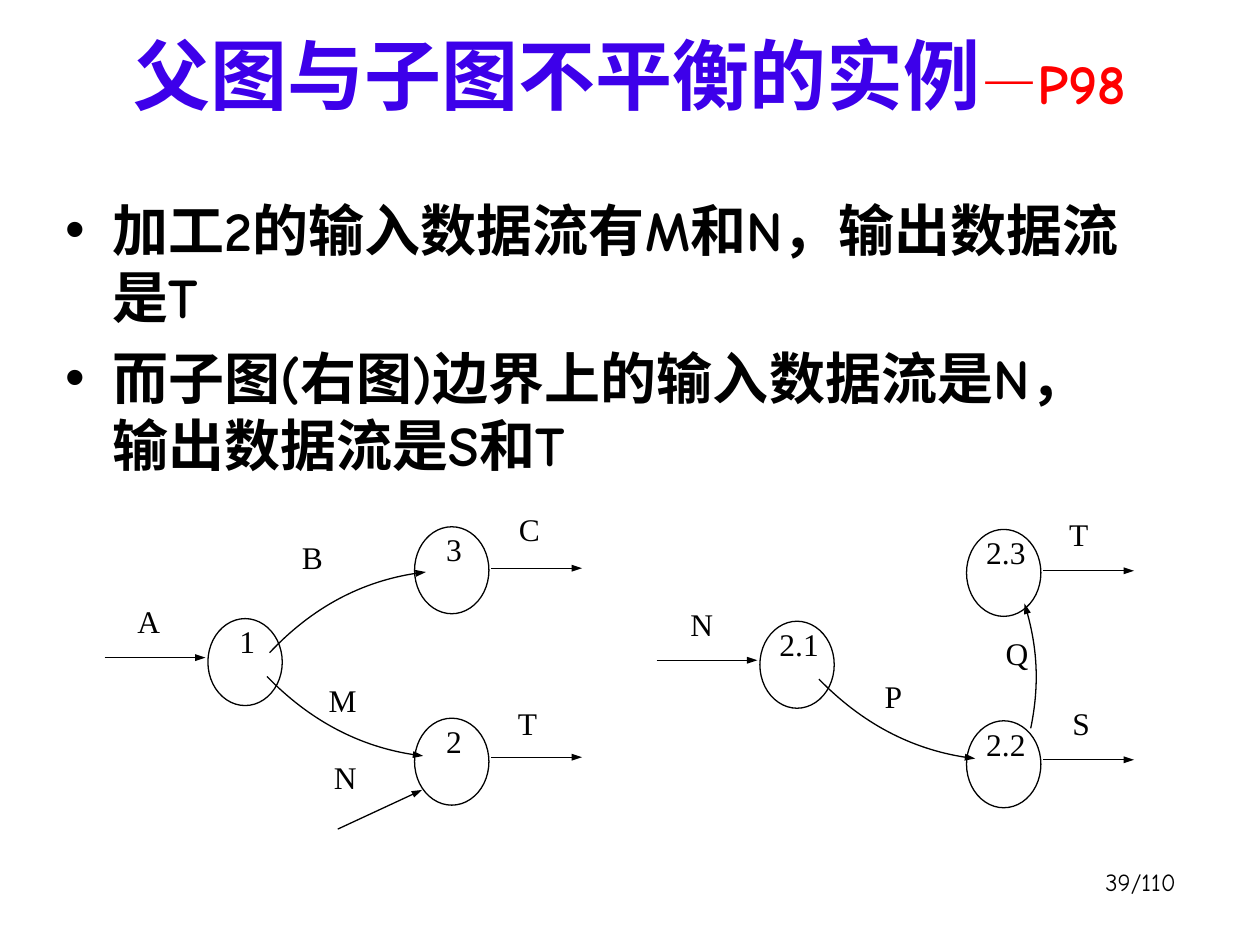
"""Build a slide on unbalanced parent and child data flow diagrams."""
import pptx
import pptx.dml.color
import pptx.enum.shapes
import pptx.enum.text
import pptx.oxml
import pptx.oxml.ns
import pptx.util

Pt = pptx.util.Pt
Align = pptx.enum.text.PP_ALIGN
Anchor = pptx.enum.text.MSO_ANCHOR
qn = pptx.oxml.ns.qn

BLACK = pptx.dml.color.RGBColor(0x00, 0x00, 0x00)
VIOLET = pptx.dml.color.RGBColor(0x3D, 0x00, 0xEA)
RED = pptx.dml.color.RGBColor(0xFF, 0x00, 0x00)

NODE_CORNERS = [(118.8, 353.5), (236.9, 410.4), (236.9, 301)]
FLOW_ARROWS = [
    (59.8, 375.8, 117.4, 375.8),
    (280.8, 432.7, 332.6, 432.7),
    (280.8, 324.7, 332.6, 324.7),
]
LOWER_CURVE = [(152.6, 386.6), (177.1, 411.8), (208.8, 428.4), (241.9, 432)]
UPPER_CURVE = [(154.1, 373), (178.6, 347), (210.2, 330.5), (243.4, 326.9)]
RISING_CURVE = [(273.6, 414.7), (278.6, 390.3), (277.2, 365.8), (270, 343.4)]

PARENT = {
    "offset": (0, 0),
    "nodes": ["1", "2", "3"],
    "arrows": FLOW_ARROWS + [(193, 473.8, 241.2, 451.4)],
    "curves": [LOWER_CURVE, UPPER_CURVE],
    "labels": [("A", 66.2, 340.6), ("B", 159.8, 303.8), ("C", 283.7, 288),
               ("M", 177.1, 385.9), ("N", 178.6, 429.8), ("T", 282.6, 398.9)],
}
CHILD = {
    "offset": (315.4, 1.5),
    "nodes": ["2.1", "2.2", "2.3"],
    "arrows": FLOW_ARROWS,
    "curves": [LOWER_CURVE, RISING_CURVE],
    "labels": [("N", 66.9, 340.6), ("P", 176.4, 381.6), ("S", 283.7, 397.4),
               ("T", 282.2, 289.4), ("Q", 247, 357.1)],
}


class SlideBuilder:
    """Hold the style and the current slide."""

    heading_font = "Comic Neue"
    diagram_font = "Times New Roman"
    line_width = 0.75

    def __init__(self, slide):
        self.slide = slide

    def style_font(self, font, name, size, color, bold=False):
        font.name = name
        font.size = Pt(size)
        font.bold = bold
        font.color.rgb = color

    def text_box(self, left, top, width, height, anchor=Anchor.TOP):
        shape = self.slide.shapes.add_textbox(Pt(left), Pt(top), Pt(width), Pt(height))
        shape.text_frame.word_wrap = True
        shape.text_frame.vertical_anchor = anchor
        return shape.text_frame

    def title(self, text, reference):
        paragraph = self.text_box(36, 12.2, 648, 59.8, Anchor.BOTTOM).paragraphs[0]
        paragraph.alignment = Align.CENTER
        for words, size, color in ((text, 44, VIOLET), (reference, 32, RED)):
            run = paragraph.add_run()
            run.text = words
            self.style_font(run.font, self.heading_font, size, color, True)

    def bullets(self, items):
        text_frame = self.text_box(30.2, 108, 624.2, 180)
        text_frame.text = "\n".join(items)
        for index, paragraph in enumerate(text_frame.paragraphs):
            properties = paragraph._p.get_or_add_pPr()
            properties.set("marL", str(Pt(27)))
            properties.set("indent", str(-Pt(27)))
            if index:
                paragraph.space_before = Pt(8)
            bullet_font = pptx.oxml.ns.qn("a:buFont")
            properties.append(properties.makeelement(bullet_font, {"typeface": "Arial"}))
            properties.append(properties.makeelement(qn("a:buChar"), {"char": "•"}))
            self.style_font(paragraph.runs[0].font, self.heading_font, 32, BLACK, True)

    def page_number(self, text):
        text_frame = self.text_box(529.2, 491.8, 149.8, 36)
        text_frame.text = text
        text_frame.paragraphs[0].alignment = Align.RIGHT
        self.style_font(text_frame.paragraphs[0].runs[0].font, self.heading_font, 14, BLACK)

    def label(self, text, left, top, width=37.5, height=41):
        text_frame = self.text_box(left, top, width, height)
        text_frame.text = text
        text_frame.paragraphs[0].alignment = Align.CENTER
        self.style_font(text_frame.paragraphs[0].runs[0].font, self.diagram_font, 18, BLACK)

    def outline(self, shape):
        shape.line.color.rgb = BLACK
        shape.line.width = Pt(self.line_width)

    def arrowhead(self, shape):
        line = shape.line._get_or_add_ln()
        head = {"type": "triangle", "w": "sm", "len": "med"}
        line.append(line.makeelement(qn("a:tailEnd"), head))

    def node(self, text, left, top):
        self.label(text, left + 0.5, top - 1.4, 44, 44)
        oval = pptx.enum.shapes.MSO_SHAPE.OVAL
        shape = self.slide.shapes.add_shape(oval, Pt(left), Pt(top), Pt(42.5), Pt(49.7))
        shape.shadow.inherit = False
        shape.fill.background()
        self.outline(shape)

    def arrow(self, *ends):
        straight = pptx.enum.shapes.MSO_CONNECTOR.STRAIGHT
        connector = self.slide.shapes.add_connector(straight, *map(Pt, ends))
        self.outline(connector)
        self.arrowhead(connector)
        properties = connector._element.spPr
        properties.append(properties.makeelement(qn("a:effectLst"), {}))

    def curve(self, points):
        start, *others = [(Pt(x), Pt(y)) for x, y in points]
        builder = self.slide.shapes.build_freeform(*start)
        builder.add_line_segments(others, close=False)
        shape = builder.convert_to_shape()
        shape.shadow.inherit = False
        shape.fill.background()
        self.outline(shape)
        self.arrowhead(shape)
        path = shape._element.find(".//" + qn("a:path"))
        bezier = path.makeelement(qn("a:cubicBezTo"), {})
        for segment in path.findall(qn("a:lnTo")):
            bezier.append(segment[0])
            path.remove(segment)
        path.append(bezier)

    def diagram(self, nodes, arrows, curves, labels, offset):
        dx, dy = offset
        for text, (left, top) in zip(nodes, NODE_CORNERS):
            self.node(text, left + dx, top + dy)
        for x1, y1, x2, y2 in arrows:
            self.arrow(x1 + dx, y1 + dy, x2 + dx, y2 + dy)
        for points in curves:
            self.curve([(x + dx, y + dy) for x, y in points])
        for text, left, top in labels:
            self.label(text, left + dx, top + dy)


def main():
    presentation = pptx.Presentation()
    presentation.slide_width = Pt(720)
    presentation.slide_height = Pt(540)
    builder = SlideBuilder(presentation.slides.add_slide(presentation.slide_layouts[6]))
    builder.page_number("39/110")
    builder.title("父图与子图不平衡的实例", "—P98")
    builder.bullets([
        "加工2的输入数据流有M和N，输出数据流是T",
        "而子图(右图)边界上的输入数据流是N，输出数据流是S和T",
    ])
    for content in (PARENT, CHILD):
        builder.diagram(**content)
    presentation.save("out.pptx")


if __name__ == "__main__":
    main()
